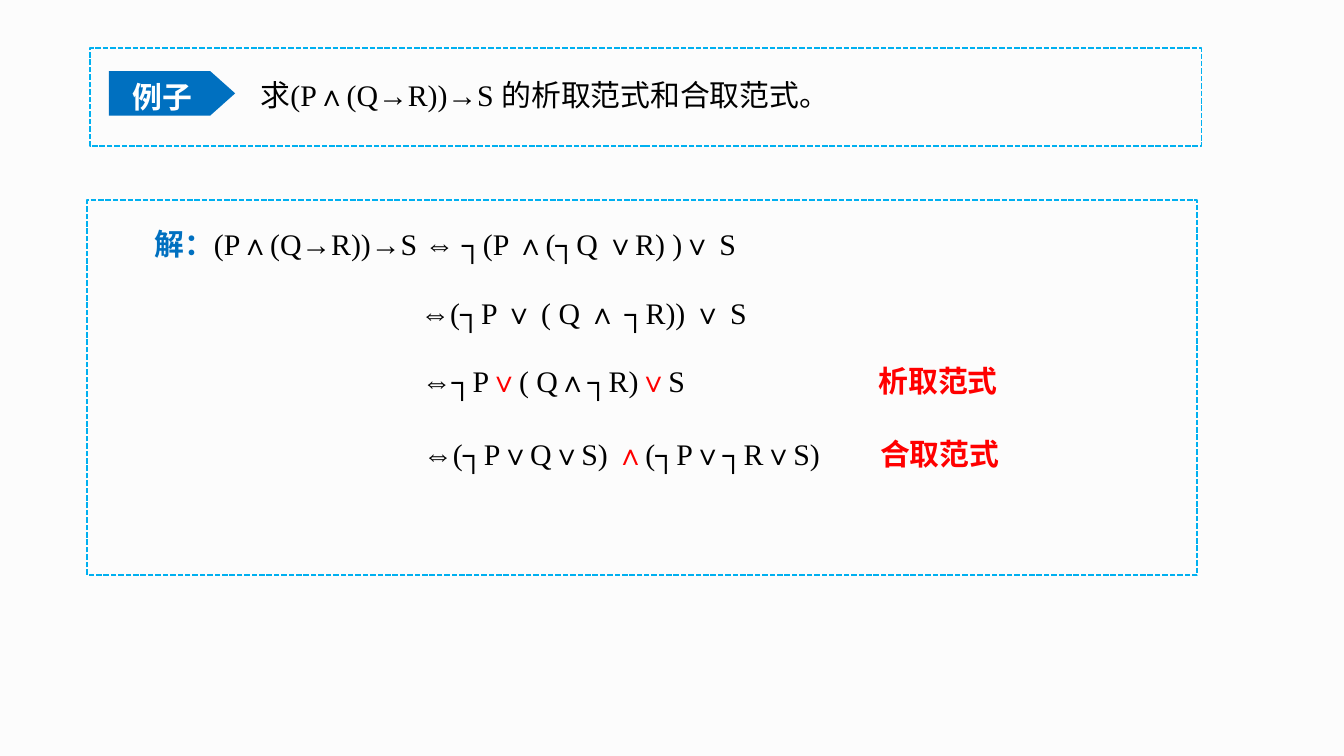
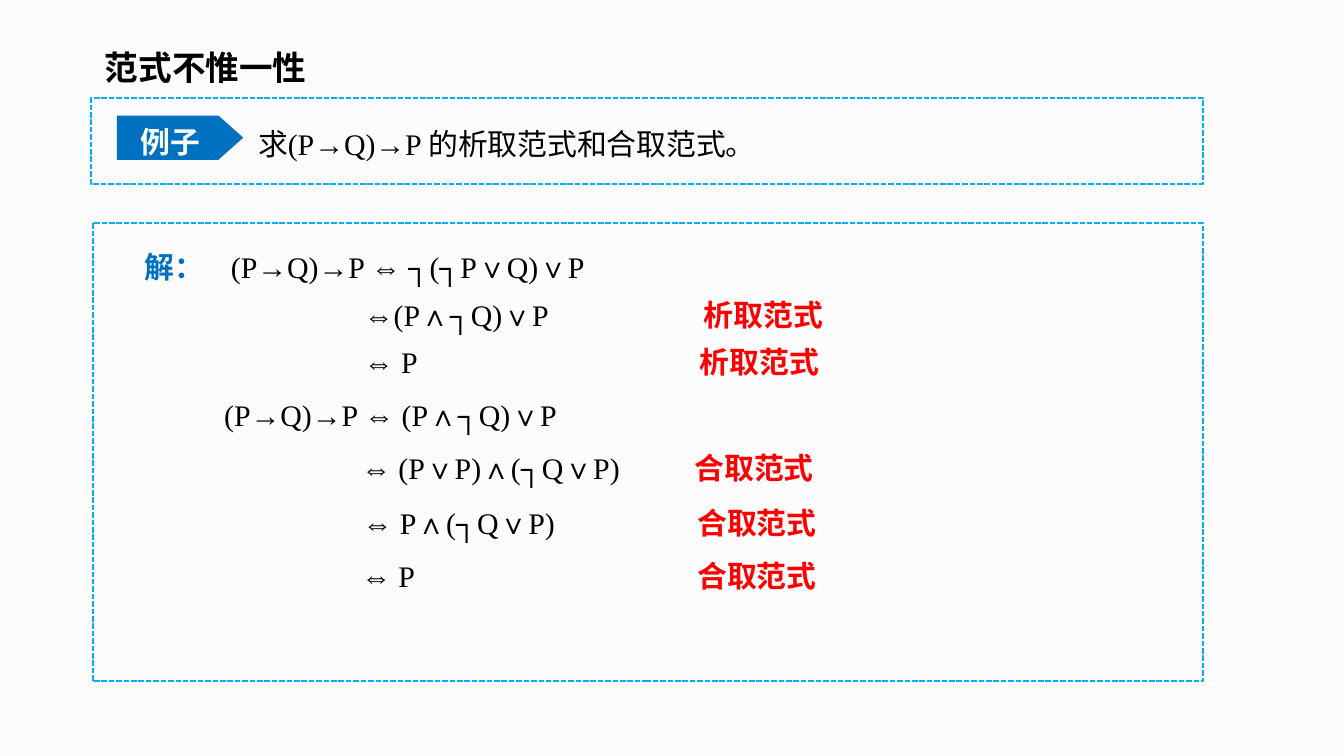
"""Build two worked examples on disjunctive and conjunctive normal forms."""
from dataclasses import dataclass

from lxml.etree import SubElement
from pptx import Presentation
from pptx.dml.color import RGBColor
from pptx.enum.dml import MSO_LINE
from pptx.enum.shapes import MSO_SHAPE
from pptx.enum.text import MSO_ANCHOR, MSO_AUTO_SIZE, PP_ALIGN
from pptx.oxml.ns import qn
from pptx.util import Inches, Pt


@dataclass(frozen=True)
class Theme:
    """Colours, font and sizes shared by the slides."""

    background: RGBColor = RGBColor(0xFC, 0xFC, 0xFC)
    text: RGBColor = RGBColor(0, 0, 0)
    white: RGBColor = RGBColor(0xFF, 0xFF, 0xFF)
    accent: RGBColor = RGBColor(0x00, 0x70, 0xC0)
    frame: RGBColor = RGBColor(0x00, 0xB0, 0xF0)
    highlight: RGBColor = RGBColor(0xFF, 0, 0)
    font: str = "Times New Roman"
    body_size: int = 16
    title_size: int = 18
    inset: float = 0.1


THEME = Theme()
TITLE_ONLY, BLANK = 5, 6
DISJUNCTIVE = ("析取范式", THEME.highlight)
CONJUNCTIVE = ("合取范式", THEME.highlight)
OR = ("∨", THEME.highlight)
AND = ("∧", THEME.highlight)
SOLUTION = ("解：", THEME.accent)


def format_paragraph(paragraph, color=THEME.text, size=THEME.body_size, bold=False):
    """Set the font of a whole paragraph."""
    font = paragraph.font
    font.name = THEME.font
    font.size = Pt(size)
    font.bold = bold
    font.color.rgb = color


def add_tab_stop(paragraph, position):
    """Give the paragraph one left tab stop, in inches from its text edge."""
    tab_list = SubElement(paragraph._p.get_or_add_pPr(), qn("a:tabLst"))
    SubElement(tab_list, qn("a:tab"), pos=str(Inches(position)), algn="l")


def add_line(slide, left, top, width, parts, tab_at=None):
    """Add one line of text; parts are strings or bold (text, colour) pairs."""
    box = slide.shapes.add_textbox(
        Inches(left), Inches(top), Inches(width), Inches(0.37))
    box.text_frame.word_wrap = True
    paragraph = box.text_frame.paragraphs[0]
    if tab_at is not None:
        add_tab_stop(paragraph, tab_at - left - THEME.inset)
    format_paragraph(paragraph)
    for part in parts:
        run = paragraph.add_run()
        if isinstance(part, str):
            run.text = part
        else:
            run.text, run.font.color.rgb = part
            run.font.bold = True
    return box


def add_frame(slide, left, top, width, height):
    """Add a dashed, unfilled rectangle."""
    frame = slide.shapes.add_shape(
        MSO_SHAPE.RECTANGLE, Inches(left), Inches(top), Inches(width), Inches(height))
    frame.shadow.inherit = False
    frame.fill.background()
    frame.line.color.rgb = THEME.frame
    frame.line.width = Pt(1)
    frame.line.dash_style = MSO_LINE.SQUARE_DOT


def add_example_tag(slide, left, top):
    """Add the blue pentagon that marks an example."""
    tag = slide.shapes.add_shape(
        MSO_SHAPE.PENTAGON, Inches(left), Inches(top), Inches(0.94), Inches(0.33))
    tag.adjustments[0] = 0.56
    tag.shadow.inherit = False
    tag.fill.solid()
    tag.fill.fore_color.rgb = THEME.accent
    tag.line.fill.background()
    tag.text_frame.vertical_anchor = MSO_ANCHOR.MIDDLE
    paragraph = tag.text_frame.paragraphs[0]
    paragraph.text = "例子 "
    paragraph.alignment = PP_ALIGN.CENTER
    paragraph.line_spacing = 1.2
    format_paragraph(paragraph, THEME.white, bold=True)


def add_question(slide, left, top, text, line_spacing=1.0):
    """Add the question beside the example tag."""
    box = add_line(slide, left, top, 7.08, [text])
    box.height = Inches(0.43)
    frame = box.text_frame
    frame.margin_left = frame.margin_right = Inches(0.08)
    frame.margin_top = frame.margin_bottom = Inches(0.04)
    frame.paragraphs[0].line_spacing = line_spacing


def set_title(slide, text):
    """Place and format the slide title."""
    title = slide.shapes.title
    title.left, title.top = Inches(0.68), Inches(0.3)
    title.width, title.height = Inches(3.66), Inches(0.4)
    frame = title.text_frame
    frame.text = text
    frame.word_wrap = True
    frame.auto_size = MSO_AUTO_SIZE.NONE
    frame.vertical_anchor = MSO_ANCHOR.TOP
    paragraph = frame.paragraphs[0]
    paragraph.alignment = PP_ALIGN.LEFT
    format_paragraph(paragraph, size=THEME.title_size, bold=True)


def build_derivation_slide(presentation):
    """Derive both normal forms of the first formula."""
    slide = presentation.slides.add_slide(presentation.slide_layouts[BLANK])
    add_question(slide, 1.86, 0.53, "求(P∧(Q→R))→S 的析取范式和合取范式。")
    add_frame(slide, 0.67, 0.36, 8.27, 0.73)
    add_example_tag(slide, 0.81, 0.53)
    add_frame(slide, 0.65, 1.49, 8.26, 2.79)
    steps = [
        (1.05, 1.63, 6.59, [SOLUTION, "(P∧(Q→R))→S ⇔ ┐(P ∧(┐Q ∨R) )∨ S"], None),
        (3.03, 2.14, 3.53, ["⇔(┐P ∨ ( Q ∧ ┐R)) ∨ S"], None),
        (3.04, 2.65, 5.57, ["⇔┐P", OR, "( Q∧┐R)", OR, "S\t", DISJUNCTIVE], 6.54),
        (3.05, 3.19, 4.89,
         ["⇔(┐P∨Q∨S) ", AND, "(┐P∨┐R∨S)\t", CONJUNCTIVE], 6.55),
    ]
    for step in steps:
        add_line(slide, *step)


def build_uniqueness_slide(presentation):
    """Show that normal forms are not unique."""
    slide = presentation.slides.add_slide(presentation.slide_layouts[TITLE_ONLY])
    set_title(slide, "范式不惟一性")
    add_question(slide, 1.84, 0.83, "求(P→Q)→P 的析取范式和合取范式。", 1.25)
    add_frame(slide, 0.68, 0.73, 8.27, 0.64)
    add_example_tag(slide, 0.87, 0.86)
    add_frame(slide, 0.69, 1.66, 8.26, 3.41)
    steps = [
        (0.98, 1.8, 6.59, [SOLUTION, "\t(P→Q)→P ⇔ ┐(┐P∨Q)∨P"], 1.72),
        (2.61, 2.16, 4.64, ["⇔(P∧┐Q)∨P\t", DISJUNCTIVE], 5.24),
        (2.61, 2.51, 5.57, ["⇔ P\t", DISJUNCTIVE], 5.21),
        (1.57, 2.9, 6.54, ["(P→Q)→P ⇔ (P∧┐Q)∨P"], None),
        (2.59, 3.3, 6.15, ["⇔ (P∨P)∧(┐Q∨P)\t", CONJUNCTIVE], 5.17),
        (2.6, 3.71, 4.75, ["⇔ P∧(┐Q∨P)\t", CONJUNCTIVE], 5.19),
        (2.59, 4.1, 4.69, ["⇔ P\t", CONJUNCTIVE], 5.19),
    ]
    for step in steps:
        add_line(slide, *step)


def main():
    """Build and save the presentation."""
    presentation = Presentation()
    presentation.slide_width = Inches(10)
    presentation.slide_height = presentation.slide_width * 9 // 16
    background = presentation.slide_master.background.fill
    background.solid()
    background.fore_color.rgb = THEME.background
    build_derivation_slide(presentation)
    build_uniqueness_slide(presentation)
    presentation.save("out.pptx")


if __name__ == "__main__":
    main()
